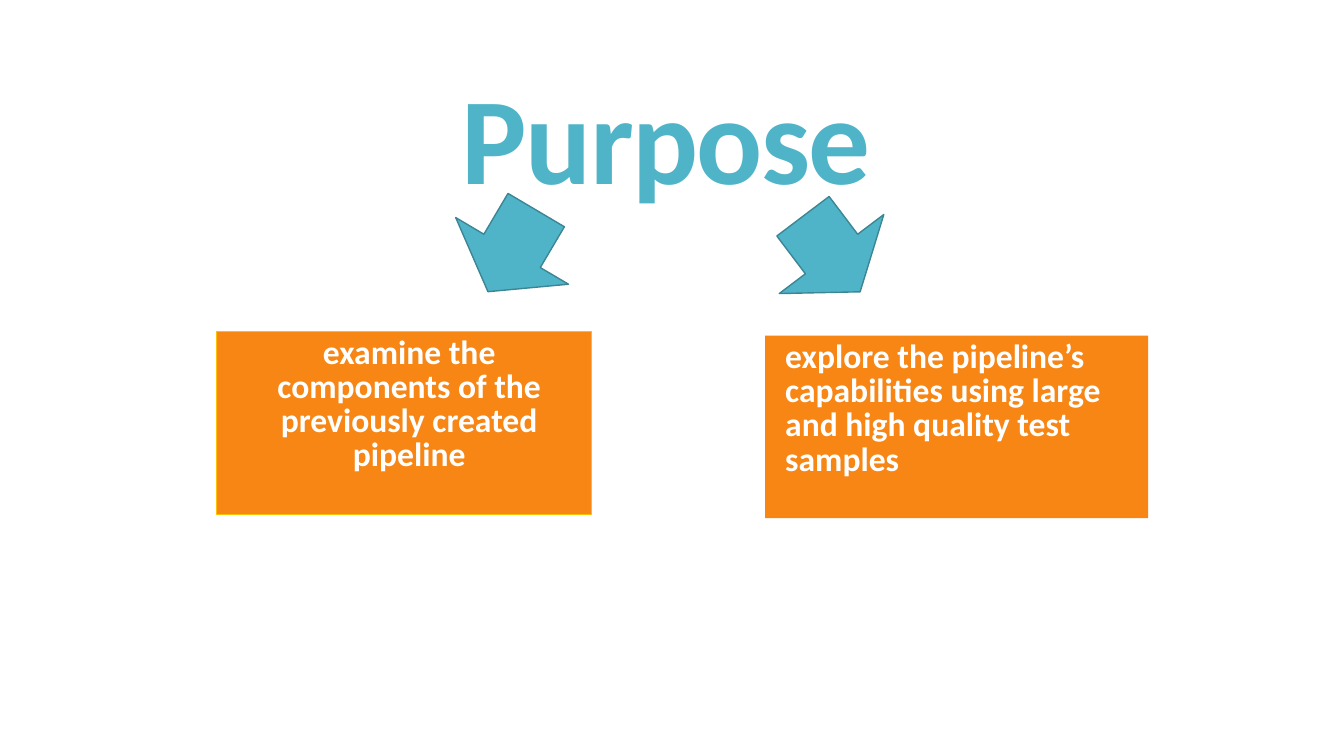
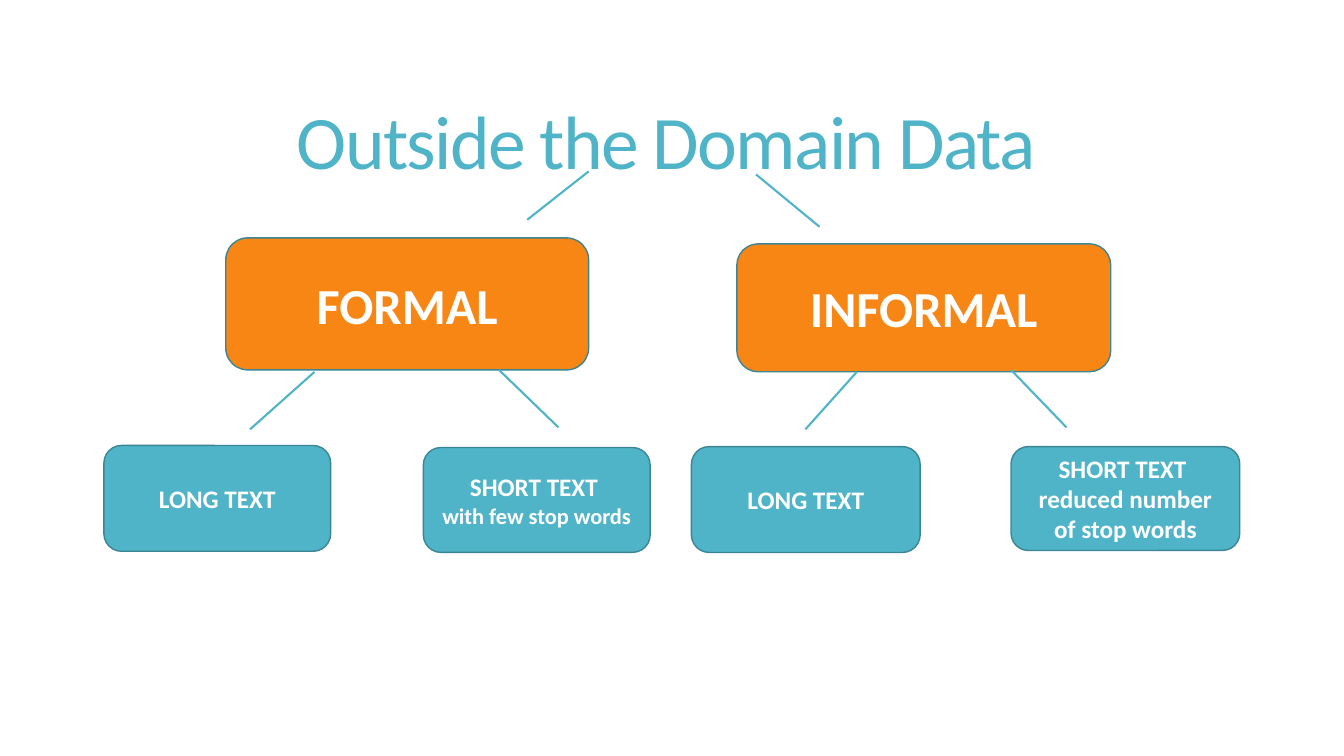
"""Build two slides: the purpose of the work and the tree of outside-domain data."""
from lxml.etree import SubElement
from pptx import Presentation
from pptx.dml.color import RGBColor
from pptx.enum.shapes import MSO_CONNECTOR as Connector, MSO_SHAPE as Shape
from pptx.enum.text import MSO_ANCHOR as Anchor, MSO_AUTO_SIZE as AutoSize, PP_ALIGN as Align
from pptx.oxml.ns import qn
from pptx.util import Pt

FONT = "Calibri"
TEAL, DARK_TEAL = "50B4C8", "3B8594"
ORANGE, GOLD, WHITE = "F78615", "FFC000", "FFFFFF"
TITLE_FRAME = (52, 39.6, 848, 130.4)

PURPOSES = [
    ("examine the components of the previously created pipeline",
     (154.8, 236.9, 267.8, 130.4), Align.CENTER, GOLD),
    ("explore the pipeline’s capabilities using large and high quality test samples",
     (546.5, 239.8, 273.6, 130.4), Align.LEFT, None),
]
ARROWS = [((319, 145.4, 93.6, 67.7), 30.6), ((547.2, 147.6, 93.6, 67.7), 322.9)]

GROUPS = [
    ([("FORMAL", 36)], (161.3, 169.9, 259.2, 94.3)),
    ([("INFORMAL", 36)], (526.3, 174.2, 267.1, 91.4)),
]
TEXT_KINDS = [
    ([("LONG TEXT", 18)], (74.2, 318.2, 162, 75.6)),
    ([("SHORT TEXT ", 18), ("with few stop words", 16)], (302.4, 319.7, 162, 74.9)),
    ([("LONG TEXT", 18)], (493.9, 319, 163.4, 75.6)),
    ([("SHORT TEXT ", 18), ("reduced number of stop words", 18)], (722.2, 319, 163.4, 74.2)),
]
BRANCHES = [
    ((420.5, 122.4), (376.6, 157)),
    ((540, 124.6), (585.4, 162)),
    ((224.6, 265.7), (178.6, 306.7)),
    ((356.4, 264.2), (398.9, 305.3)),
    ((612, 265.7), (575.3, 306.7)),
    ((722.2, 264.2), (761.8, 305.3)),
]


def color(value):
    return RGBColor.from_string(value)


def place(box, frame):
    box.left, box.top, box.width, box.height = map(Pt, frame)


def paint(box, fill, line, width=1):
    box.fill.solid()
    box.fill.fore_color.rgb = color(fill)
    if line:
        box.line.color.rgb = color(line)
        box.line.width = Pt(width)
    else:
        box.line.fill.background()


def write(para, text, size, shade=WHITE, bold=True, align=Align.CENTER):
    para.alignment = align
    para.space_before = Pt(0)
    span = para.add_run()
    span.text = text
    span.font.name = FONT
    span.font.size = Pt(size)
    span.font.bold = bold
    span.font.color.rgb = color(shade)
    return span


def add_slide(deck, layout, title, size, bold):
    page = deck.slides.add_slide(deck.slide_layouts[layout])
    box = page.shapes.title
    place(box, TITLE_FRAME)
    frame = box.text_frame
    frame.auto_size = AutoSize.NONE
    frame.vertical_anchor = Anchor.MIDDLE
    para = frame.paragraphs[0]
    span = write(para, title, size, TEAL, bold)
    para.line_spacing = 0.85
    span.font._element.set("spc", "-120")
    return page


def add_purpose(box, text, frame, align, line):
    place(box, frame)
    paint(box, ORANGE, line, 0.75)
    box.text_frame.auto_size = AutoSize.NONE
    box.text_frame.vertical_anchor = Anchor.TOP
    para = box.text_frame.paragraphs[0]
    props = para._p.get_or_add_pPr()
    props.set("marL", str(Pt(7.2)))
    props.set("indent", str(Pt(-7.2)))
    SubElement(props, qn("a:buChar")).set("char", " ")
    para.line_spacing = 0.85
    write(para, text, 24, align=align)


def add_figure(page, kind, frame, fill):
    box = page.shapes.add_shape(kind, *map(Pt, frame))
    box.shadow.inherit = False
    paint(box, fill, DARK_TEAL)
    return box


def add_node(page, lines, frame, fill):
    box = add_figure(page, Shape.ROUNDED_RECTANGLE, frame, fill)
    text_frame = box.text_frame
    text_frame.word_wrap = True
    text_frame.vertical_anchor = Anchor.MIDDLE
    for index, (text, size) in enumerate(lines):
        para = text_frame.add_paragraph() if index else text_frame.paragraphs[0]
        write(para, text, size)


def add_branch(page, start, end):
    line = page.shapes.add_connector(Connector.STRAIGHT, *map(Pt, start + end))
    line.line.color.rgb = color(TEAL)
    line.line.width = Pt(1.5)
    SubElement(line._element.spPr, qn("a:effectLst"))


def main():
    deck = Presentation()
    deck.slide_width, deck.slide_height = Pt(960), Pt(540)

    page = add_slide(deck, 3, "Purpose", 88, True)
    for index, purpose in enumerate(PURPOSES, start=1):
        add_purpose(page.placeholders[index], *purpose)
    for frame, angle in ARROWS:
        add_figure(page, Shape.DOWN_ARROW, frame, TEAL).rotation = angle

    page = add_slide(deck, 5, "Outside the Domain Data", 54, False)
    for nodes, fill in ((GROUPS, ORANGE), (TEXT_KINDS, TEAL)):
        for lines, frame in nodes:
            add_node(page, lines, frame, fill)
    for start, end in BRANCHES:
        add_branch(page, start, end)

    deck.save("out.pptx")


if __name__ == "__main__":
    main()
